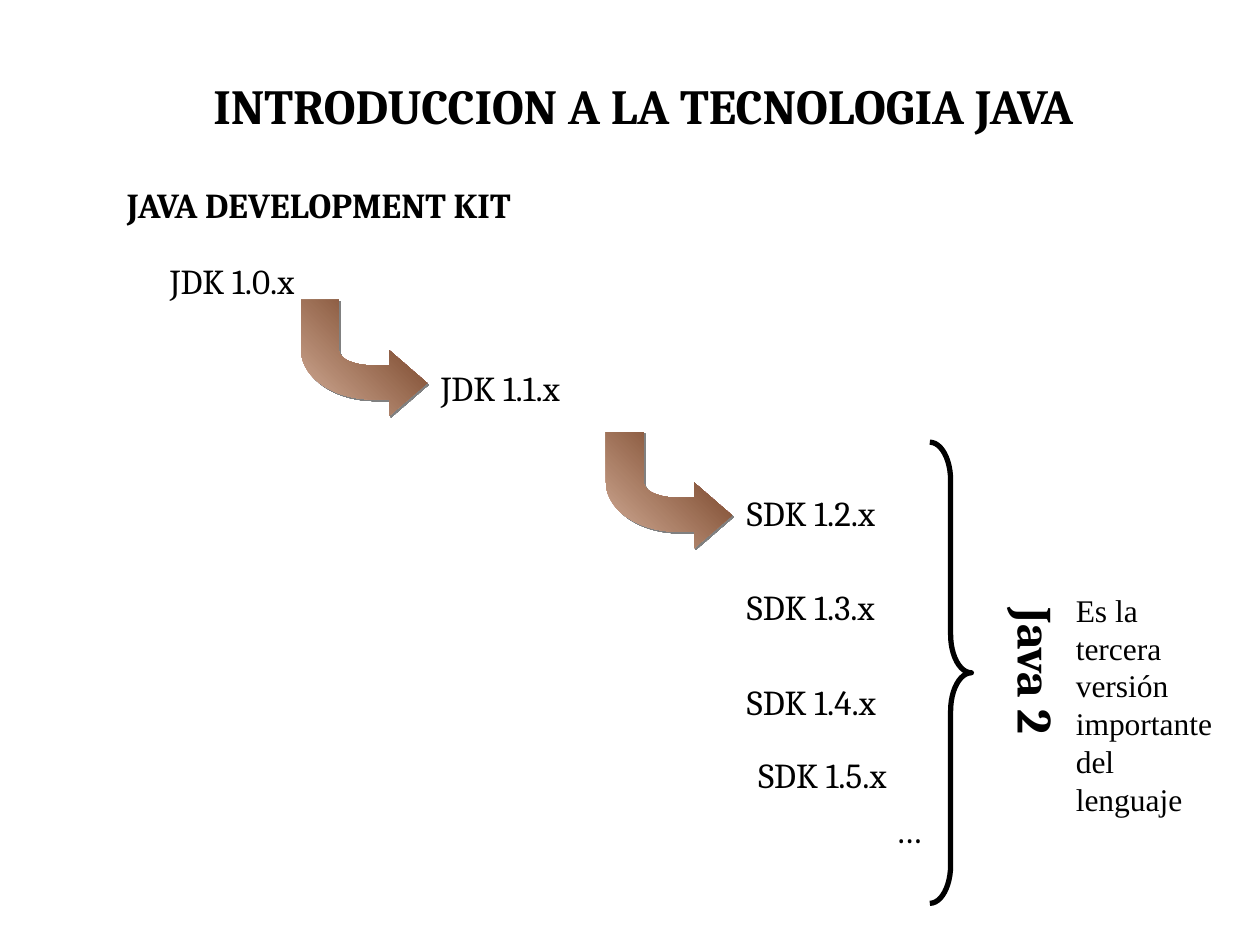
from dataclasses import dataclass
from math import cos, radians, sin

from lxml import etree
from pptx import Presentation
from pptx import util as u
from pptx.dml import color
from pptx.enum import shapes, text
from pptx.oxml import ns

COLUMNS, ROWS = 100, 75
CELL = u.Inches(0.1)
COLORS = {"ink": "000000", "light": "D6B19C", "dark": "663012", "shadow": "808080"}
LEFT, CENTER = text.PP_ALIGN.LEFT, text.PP_ALIGN.CENTER
TOP, MIDDLE = text.MSO_ANCHOR.TOP, text.MSO_ANCHOR.MIDDLE


@dataclass(frozen=True)
class Label:
    words: str
    column: float
    row: float
    columns: float
    rows: float = 6.7
    size: float = 20
    bold: bool = False
    font: str = "Cambria"
    align: text.PP_ALIGN = LEFT
    anchor: text.MSO_ANCHOR = TOP
    rotation: float = 0


@dataclass(frozen=True)
class Arrow:
    column: float
    row: float


LABELS = [
    Label("INTRODUCCION A LA TECNOLOGIA JAVA", 6.4, 5, 89.3, size=28, bold=True,
          align=CENTER, anchor=MIDDLE),
    Label("JAVA DEVELOPMENT KIT", 9.1, 12.9, 43, bold=True, anchor=MIDDLE),
    Label("JDK 1.0.x", 12.5, 20.1, 27.5),
    Label("JDK 1.1.x", 34, 28.6, 41.7),
    *(Label(f"SDK 1.{version}.x", 58.3, 38.5 + 7.5 * step, 35)
      for step, version in enumerate((2, 3, 4))),
    Label("SDK 1.5.x\n…", 59.2, 59.3, 25.8, 15.6),
    Label("Java 2", 71.8, 49.9, 20, size=28, bold=True, align=CENTER, rotation=90),
    Label("Es la tercera versión importante del lenguaje", 84.4, 46.4, 13.7, 19,
          size=18, font="Times New Roman"),
]
ARROWS = [Arrow(23.9, 23.8), Arrow(48.1, 34.3)]


def cells(*counts: float) -> list[int]:
    return [round(count * CELL) for count in counts]


def rgb(name: str) -> color.RGBColor:
    return color.RGBColor.from_string(COLORS[name])


def draw_label(slide, label: Label) -> None:
    box = slide.shapes.add_textbox(
        *cells(label.column, label.row, label.columns, label.rows))
    box.rotation = label.rotation
    frame = box.text_frame
    frame.word_wrap = True
    frame.vertical_anchor = label.anchor
    frame.text = label.words
    for index, paragraph in enumerate(frame.paragraphs):
        paragraph.alignment = CENTER if index else label.align
        if index:
            paragraph.space_before = u.Pt(7.5)
        paragraph.font.name = label.font
        paragraph.font.size = u.Pt(label.size)
        paragraph.font.bold = label.bold
        paragraph.font.color.rgb = rgb("ink")


def arc(radius_x: float, radius_y: float, start: int, stop: int) -> list[tuple[float, float]]:
    step = 5 if stop > start else -5
    return [(5.7 + radius_x * cos(radians(angle)), 4 + radius_y * sin(radians(angle)))
            for angle in range(start, stop + step, step)]


def add_shadow(shape) -> None:
    shape.shadow.inherit = False
    effects = shape._element.spPr.find(ns.qn("a:effectLst"))
    shadow = etree.SubElement(effects, ns.qn("a:outerShdw"),
                              dist=str(u.Pt(1.4)), dir=str(45 * 60000))
    etree.SubElement(shadow, ns.qn("a:srgbClr"), val=COLORS["shadow"])


def draw_arrow(slide, arrow: Arrow) -> None:
    outline = [(10, 6.6), (7, 9.2), (7, 7.9), *arc(5.7, 3.9, 90, 180),
               (0, 0), (3, 0), *arc(2.7, 1.2, 180, 90), (7, 5.2), (7, 4)]
    points = [cells(arrow.column + x, arrow.row + y) for x, y in outline]
    builder = slide.shapes.build_freeform(*points[0])
    builder.add_line_segments(points[1:], close=True)
    shape = builder.convert_to_shape()
    shape.line.fill.background()
    shape.fill.gradient()
    shape.fill.gradient_angle = 45
    for stop, name in zip(shape.fill.gradient_stops, ("light", "dark")):
        stop.color.rgb = rgb(name)
    add_shadow(shape)


def draw_brace(slide) -> None:
    brace = slide.shapes.add_shape(
        shapes.MSO_SHAPE.RIGHT_BRACE, *cells(73.8, 35.1, 3.3, 36.6))
    brace.adjustments[0] = 0.92
    brace.shadow.inherit = False
    brace.fill.background()
    brace.line.color.rgb = rgb("ink")
    brace.line.width = u.Pt(3)


def main() -> None:
    presentation = Presentation()
    presentation.slide_width, presentation.slide_height = cells(COLUMNS, ROWS)
    slide = presentation.slides.add_slide(presentation.slide_layouts[6])
    for label in LABELS:
        draw_label(slide, label)
    draw_brace(slide)
    for arrow in ARROWS:
        draw_arrow(slide, arrow)
    presentation.save("out.pptx")


if __name__ == "__main__":
    main()
